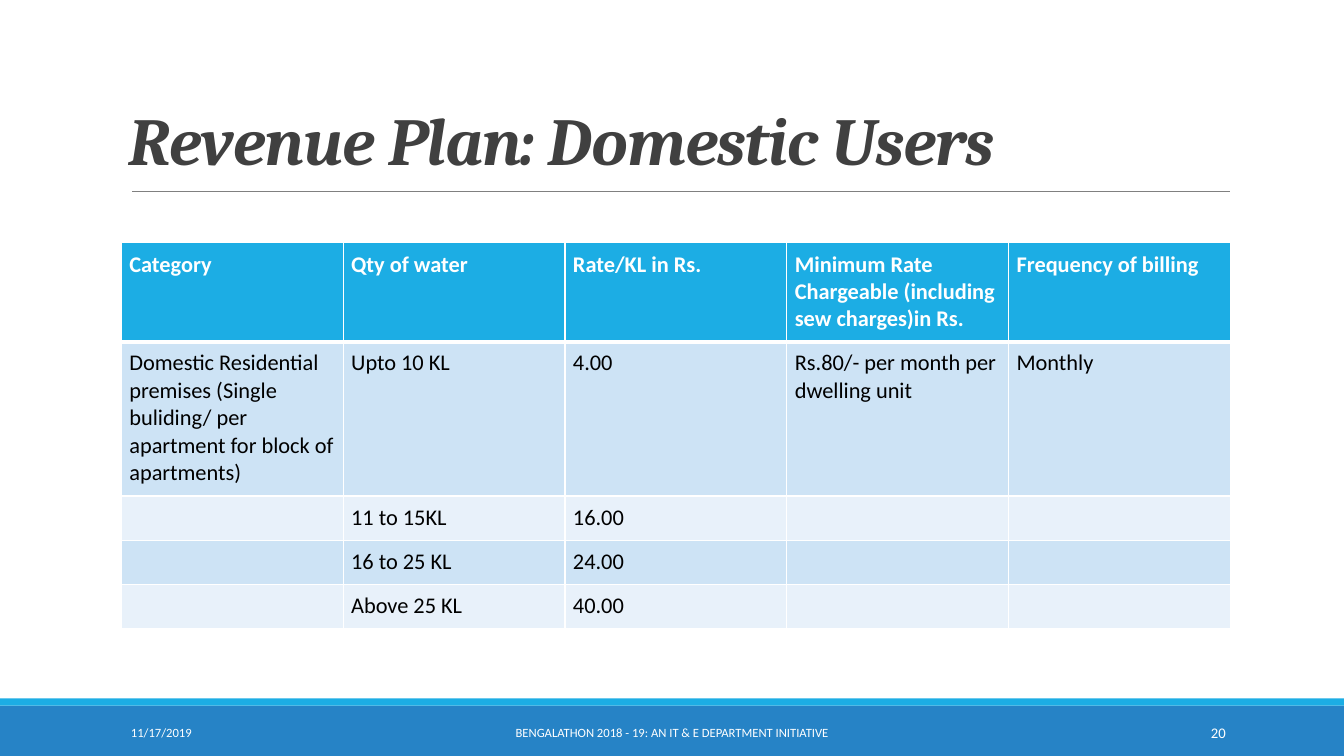
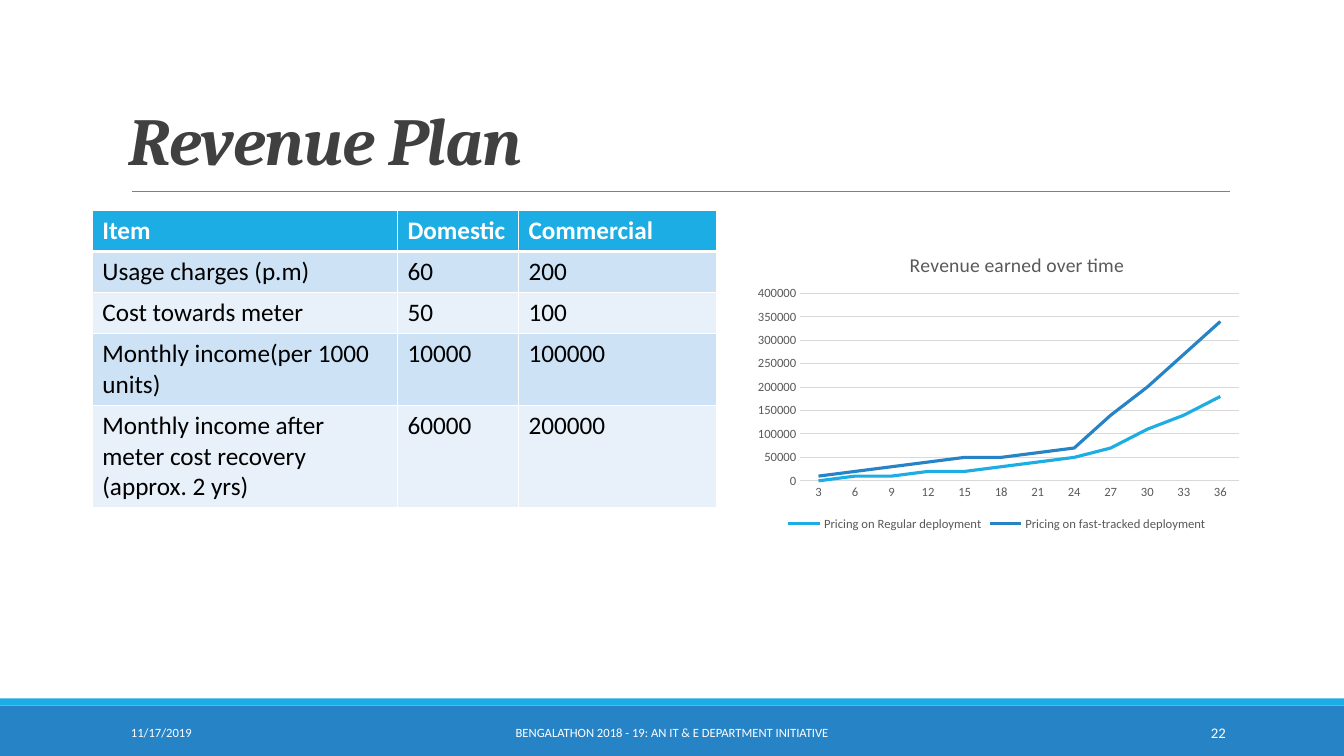
from lxml import etree
from pptx import Presentation
from pptx.chart.data import CategoryChartData
from pptx.dml.color import RGBColor
from pptx.enum import chart as ch, shapes, text
from pptx.oxml import parse_xml
from pptx.oxml.ns import nsdecls, qn
from pptx.util import Cm, Pt

FONT, TITLE_FONT = "Calibri", "Cambria"
WHITE, BLACK, GREY, TITLE_GREY = "FFFFFF", "000000", "595959", "404040"
CYAN, BLUE, RULE, GRID = "1CADE4", "2683C6", "808080", "D9D9D9"
STRIPES = ["E8F1FA", "CDE3F5"]
LEFT, CENTER, RIGHT = text.PP_ALIGN.LEFT, text.PP_ALIGN.CENTER, text.PP_ALIGN.RIGHT


def rgb(value):
    return RGBColor.from_string(value)


def style(font, size, color, name=FONT, bold=False):
    font.size, font.name, font.bold = Pt(size), name, bold
    font.color.rgb = rgb(color)


slides = [
    {"title": "Revenue Plan: Domestic Users", "number": "20",
     "at": (3.06, 6.12), "size": 16, "margins": (0.2, 0.2),
     "cols": [5.59] * 5, "heights": [2.49, 3.89, 1.11, 1.11, 1.11],
     "rows": [
         ["Category", "Qty of water", "Rate/KL in Rs.",
          "Minimum Rate\vChargeable (including\vsew charges)in Rs.", "Frequency of billing"],
         ["Domestic Residential\vpremises (Single buliding/ per apartment for block of apartments)",
          "Upto 10 KL", "4.00", "Rs.80/- per month per dwelling unit", "Monthly"],
         ["", "11 to 15KL", "16.00", "", ""],
         ["", "16 to 25 KL", "24.00", "", ""],
         ["", "Above 25 KL", "40.00", "", ""]]},
    {"title": "Revenue Plan", "number": "22",
     "at": (2.33, 5.31), "size": 18, "margins": (0.25, 0.13),
     "cols": [7.69, 3.05, 5], "heights": [1.03, 1.03, 1.03, 1.81, 2.57],
     "rows": [
         ["Item", "Domestic", "Commercial"],
         ["Usage charges (p.m)", "60", "200"],
         ["Cost towards meter", "50", "100"],
         ["Monthly income(per 1000 units)", "10000", "100000"],
         ["Monthly income after meter cost recovery (approx. 2 yrs)", "60000", "200000"]]},
]

prs = Presentation()
prs.slide_width, prs.slide_height = Cm(33.87), Cm(19.05)

for page in slides:
    s = prs.slides.add_slide(prs.slide_layouts[5])

    for top, height, color in [(17.78, 1.27, BLUE), (17.6, 0.18, CYAN)]:
        band = s.shapes.add_shape(shapes.MSO_SHAPE.RECTANGLE, 0, Cm(top), prs.slide_width, Cm(height))
        band.shadow.inherit = False
        band.fill.solid()
        band.fill.fore_color.rgb = rgb(color)
        band.line.fill.background()

    rule = s.shapes.add_connector(shapes.MSO_CONNECTOR.STRAIGHT, Cm(3.33), Cm(4.83), Cm(31), Cm(4.83))
    rule.line.color.rgb = rgb(RULE)
    rule.line.width = Pt(0.5)
    etree.SubElement(rule._element.spPr, qn("a:effectLst"))

    for left, width, words, size, align in [
        (3.05, 6.86, "11/17/2019", 9, LEFT),
        (10.24, 13.39, "BENGALATHON 2018 - 19: AN IT & E DEPARTMENT INITIATIVE", 9, CENTER),
        (27.51, 3.63, page["number"], 10.5, RIGHT),
    ]:
        tf = s.shapes.add_textbox(Cm(left), Cm(17.95), Cm(width), Cm(1.02)).text_frame
        tf.word_wrap = True
        tf.vertical_anchor = text.MSO_ANCHOR.MIDDLE
        tf.text = words
        p = tf.paragraphs[0]
        p.alignment = align
        style(p.runs[0].font, size, WHITE)

    title = s.shapes.title
    title.left, title.top, title.width, title.height = Cm(2.98), Cm(2.46), Cm(27.94), Cm(2.18)
    tf = title.text_frame
    tf.text = page["title"]
    tf.word_wrap = True
    tf.auto_size = text.MSO_AUTO_SIZE.NONE
    tf.vertical_anchor = text.MSO_ANCHOR.BOTTOM
    p = tf.paragraphs[0]
    p.alignment, p.line_spacing = LEFT, 0.85
    r = p.runs[0]
    style(r.font, 48, TITLE_GREY, TITLE_FONT, True)
    r.font.italic = True
    r._r.get_or_add_rPr().set("spc", "-50")

    rows, cols, heights = page["rows"], page["cols"], page["heights"]
    left, top = page["at"]
    table = s.shapes.add_table(len(rows), len(cols), Cm(left), Cm(top),
                               Cm(sum(cols)), Cm(sum(heights))).table
    table.horz_banding = False
    for column, width in zip(table.columns, cols):
        column.width = Cm(width)
    for i, values in enumerate(rows):
        table.rows[i].height = Cm(heights[i])
        for j, value in enumerate(values):
            cell = table.cell(i, j)
            cell.fill.solid()
            cell.fill.fore_color.rgb = rgb(STRIPES[i % 2] if i else CYAN)
            if value:
                side, edge = page["margins"]
                cell.margin_left = cell.margin_right = Cm(side)
                cell.margin_top = cell.margin_bottom = Cm(edge)
                cell.text_frame.text = value
                for r in cell.text_frame.paragraphs[0].runs:
                    style(r.font, page["size"], BLACK if i else WHITE, bold=i == 0)
            thick = {(0, "lnB"), (1, "lnT")}
            for k, tag in enumerate(["lnL", "lnR", "lnT", "lnB"]):
                width = Pt(3 if (i, tag) in thick else 1)
                cell._tc.get_or_add_tcPr().insert(k, parse_xml(
                    f'<a:{tag} {nsdecls("a")} w="{width}"><a:solidFill>'
                    f'<a:srgbClr val="{WHITE}"/></a:solidFill></a:{tag}>'))

data = CategoryChartData()
data.categories = [str(month) for month in range(3, 37, 3)]
data.add_series("Pricing on Regular deployment",
                [10000 * v for v in (0, 1, 1, 2, 2, 3, 4, 5, 7, 11, 14, 18)])
data.add_series("Pricing on fast-tracked deployment",
                [10000 * v for v in (1, 2, 3, 4, 5, 5, 6, 7, 14, 20, 27, 34)])
chart = s.shapes.add_chart(ch.XL_CHART_TYPE.LINE, Cm(18.77), Cm(5.87), Cm(12.7), Cm(7.62), data).chart
style(chart.font, 10, BLACK)
chart.has_title = True
tf = chart.chart_title.text_frame
tf.text = "Revenue earned over time"
style(tf.paragraphs[0].runs[0].font, 14, GREY)
chart.has_legend = True
chart.legend.position = ch.XL_LEGEND_POSITION.BOTTOM
chart.legend.include_in_layout = False
style(chart.legend.font, 9, GREY)

for axis in (chart.category_axis, chart.value_axis):
    axis.major_tick_mark = axis.minor_tick_mark = ch.XL_TICK_MARK.NONE
    style(axis.tick_labels.font, 9, GREY)
chart.value_axis.format.line.fill.background()
chart.value_axis.minimum_scale, chart.value_axis.maximum_scale = 0, 400000
chart.value_axis.major_unit = 50000
for line in (chart.category_axis.format.line, chart.value_axis.major_gridlines.format.line):
    line.color.rgb = rgb(GRID)
    line.width = Pt(0.75)

plot = chart.plots[0]
plot.vary_by_categories = False
for series, color in zip(plot.series, (CYAN, BLUE)):
    series.smooth = False
    series.marker.style = ch.XL_MARKER_STYLE.NONE
    series.format.line.color.rgb = rgb(color)
    series.format.line.width = Pt(2.25)

edges = '<c:xMode val="edge"/><c:yMode val="edge"/>'
for part, index, layout in [
    (chart._chartSpace.chart.plotArea, 0,
     f'<c:layoutTarget val="inner"/>{edges}<c:x val="0.11"/><c:y val="0.2"/>'
     '<c:w val="0.87"/><c:h val="0.62"/>'),
    (chart.chart_title._element, 1, f'{edges}<c:x val="0.32"/><c:y val="0.05"/>'),
]:
    for old in part.findall(qn("c:layout")):
        part.remove(old)
    part.insert(index, parse_xml(
        f'<c:layout {nsdecls("c")}><c:manualLayout>{layout}</c:manualLayout></c:layout>'))

prs.save("out.pptx")
